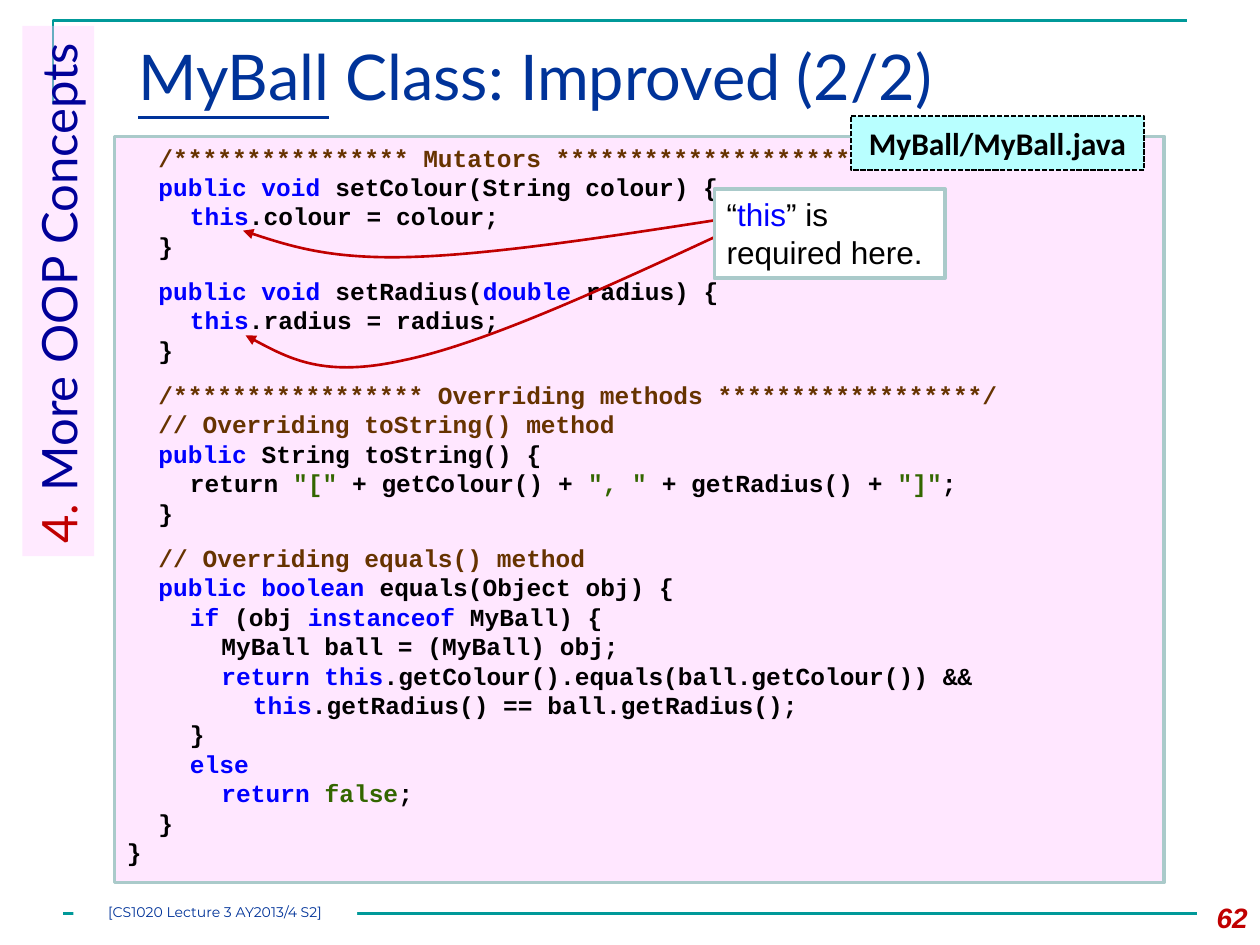
from itertools import chain

from lxml import etree
from pptx import Presentation
from pptx import util as u
from pptx.dml.color import RGBColor
from pptx.enum import dml, shapes, text
from pptx.oxml.ns import qn

WHITE = RGBColor(0xFF, 0xFF, 0xFF)
BLACK = RGBColor(0x00, 0x00, 0x00)
TEAL = RGBColor(0x00, 0x99, 0x99)
NAVY = RGBColor(0x00, 0x33, 0x99)
INDIGO = RGBColor(0x00, 0x00, 0x99)
RED = RGBColor(0xC0, 0x00, 0x00)
PINK = RGBColor(0xFF, 0xCC, 0xFF)
PALE_PINK = RGBColor(0xFF, 0xE7, 0xFF)
CYAN = RGBColor(0xB8, 0xFF, 0xFF)
BORDER = RGBColor(0xAA, 0xCA, 0xCA)
KEYWORD = RGBColor(0x00, 0x00, 0xFF)
COMMENT = RGBColor(0x66, 0x33, 0x00)
LITERAL = RGBColor(0x33, 0x66, 0x00)


def key(s):
    """Return a keyword token."""
    return s, KEYWORD


def note(s):
    """Return a comment token."""
    return s, COMMENT


def lit(s):
    """Return a literal token."""
    return s, LITERAL


CODE_BLOCKS = [
    [
        (1, note("/**************** Mutators ************************/")),
        (1, key("public void "), "setColour(String colour) {"),
        (2, key("this"), ".colour = colour;"),
        (1, "}"),
    ],
    [
        (1, key("public void "), "setRadius(", key("double"), " radius) {"),
        (2, key("this"), ".radius = radius;"),
        (1, "}"),
    ],
    [
        (1, note("/***************** Overriding methods ******************/")),
        (1, note("// Overriding toString() method")),
        (1, key("public "), "String toString() {"),
        (2, "return ", lit('"["'), " + getColour() + ", lit('", "'),
         " + getRadius() + ", lit('"]"'), ";"),
        (1, "}"),
    ],
    [
        (1, note("// Overriding equals() method")),
        (1, key("public boolean "), "equals(Object obj) {"),
        (2, key("if"), " (obj ", key("instanceof"), " MyBall) {"),
        (3, "MyBall ball = (MyBall) obj;"),
        (3, key("return this"), ".getColour().equals(ball.getColour()) &&"),
        (4, key("this"), ".getRadius() == ball.getRadius();"),
        (2, "}"),
        (2, key("else")),
        (3, key("return "), lit("false"), ";"),
        (1, "}"),
        (0, "}"),
    ],
]

ARROWS = [
    [(0.15, 0.61), (-2.16, 0.97), (-4.49, 1.32), (-6.09, 1.37),
     (-7.69, 1.42), (-8.61, 1.14), (-9.5, 0.84)],
    [(0.18, 0.89), (-2.23, 2.01), (-4.65, 3.12), (-6.25, 3.45),
     (-7.85, 3.81), (-8.66, 3.38), (-9.45, 2.95)],
]


def add_text(p, s, font, size, color, bold=False, italic=False, underline=None):
    """Append one formatted run to a paragraph."""
    r = p.add_run()
    r.text = s
    r.font.name, r.font.size = font, u.Pt(size)
    r.font.bold, r.font.italic, r.font.underline = bold, italic, underline
    r.font.color.rgb = color


def add_box(parent, box, fill=None, line=None, width=2,
            align=text.PP_ALIGN.LEFT, anchor=text.MSO_ANCHOR.TOP):
    """Add a rectangle, or a text box when it has no fill."""
    x, y, w, h = map(u.Cm, box)
    if fill is None:
        sp = parent.add_textbox(x, y, w, h)
    else:
        sp = parent.add_shape(shapes.MSO_SHAPE.RECTANGLE, x, y, w, h)
        sp.shadow.inherit = False
        sp.fill.solid()
        sp.fill.fore_color.rgb = fill
        if line is None:
            sp.line.fill.background()
        else:
            sp.line.color.rgb, sp.line.width = line, u.Pt(width)
    tf = sp.text_frame
    tf.word_wrap, tf.vertical_anchor = True, anchor
    tf.paragraphs[0].alignment = align
    return sp, tf.paragraphs[0]


def add_outline(parent, points, color):
    """Add an open, unfilled outline through points in centimetres."""
    points = [(u.Cm(x), u.Cm(y)) for x, y in points]
    builder = parent.build_freeform(*points[0])
    builder.add_line_segments(points[1:], close=False)
    sp = builder.convert_to_shape()
    sp.shadow.inherit = False
    sp.fill.background()
    sp.line.color.rgb, sp.line.width = color, u.Pt(1.5)
    return sp


def add_curved_arrow(parent, points, color):
    """Add an arrow whose points are cubic Bézier points."""
    sp = add_outline(parent, points, color)
    steps = list(sp.element.iter(qn("a:lnTo")))
    for i in range(0, len(steps), 3):
        curve = etree.Element(qn("a:cubicBezTo"))
        steps[i].addprevious(curve)
        for step in steps[i:i + 3]:
            curve.append(step[0])
            step.getparent().remove(step)
    etree.SubElement(sp.line._get_or_add_ln(), qn("a:tailEnd"), type="triangle")


def add_frame(slide, box):
    """Draw the corner rule at the top and the rule at the foot."""
    x, y, w, h = box
    add_outline(slide.shapes, [(x, y + 1.68), (x, y), (x + w, y)], TEAL)
    ends = [u.Cm(v) for v in (x + 0.2, y + h, x + 0.2 + w, y + h)]
    rule = slide.shapes.add_connector(shapes.MSO_CONNECTOR.STRAIGHT, *ends)
    rule.line.color.rgb, rule.line.width = TEAL, u.Pt(1.5)
    etree.SubElement(rule.element.spPr, qn("a:effectLst"))


def add_title(slide, box):
    """Write the title with its class name underlined."""
    _, p = add_box(slide.shapes, box)
    add_text(p, "MyBall", "Lato", 36, NAVY, underline=True)
    add_text(p, " Class: Improved (2/2)", "Lato", 36, NAVY)


def add_footer(slide, box):
    """Write the lecture label and the page number."""
    x, y, w, h = box
    _, p = add_box(slide.shapes, (x + w - 1.7, y, 1.7, h), align=text.PP_ALIGN.RIGHT)
    add_text(p, "62", "Arial", 16, RED, bold=True, italic=True)
    sp, p = add_box(slide.shapes, (x, y + 0.18, 5.72, 0.43), WHITE,
                    align=text.PP_ALIGN.CENTER)
    tf = sp.text_frame
    tf.margin_left = tf.margin_top = tf.margin_right = tf.margin_bottom = 0
    add_text(p, "[CS1020 Lecture 3 AY2013/4 S2]", "Montserrat", 8, NAVY)


def add_section_tab(slide, box):
    """Place the translucent section name, reading upwards."""
    x, y, w, h = box
    sp, p = add_box(slide.shapes, (x + (w - h) / 2, y + (h - w) / 2, h, w), PINK)
    sp.rotation = 270
    sp.text_frame.margin_right = 0
    color = sp.element.spPr.find(qn("a:solidFill"))[0]
    etree.SubElement(color, qn("a:alpha"), val="40000")
    add_text(p, "4.", "Lato", 28, RED)
    add_text(p, " More OOP Concepts", "Lato", 28, INDIGO)


def add_code(slide, box):
    """Write the code listing with tab stops and a gap between blocks."""
    sp, p = add_box(slide.shapes, box, PALE_PINK, BORDER)
    starts = [block[0] for block in CODE_BLOCKS[1:]]
    for i, line in enumerate(chain.from_iterable(CODE_BLOCKS)):
        if i:
            p = sp.text_frame.add_paragraph()
        p.alignment = text.PP_ALIGN.LEFT
        if line in starts:
            p.space_before = u.Pt(9)
        tabs = etree.SubElement(p._p.get_or_add_pPr(), qn("a:tabLst"))
        for stop in range(1, 6):
            etree.SubElement(tabs, qn("a:tab"), pos=str(u.Cm(0.635 * stop)), algn="l")
        level, *tokens = line
        if level:
            tokens.insert(0, "\t" * level)
        for token in tokens:
            s, color = (token, BLACK) if isinstance(token, str) else token
            add_text(p, s, "Courier New", 14, color, bold=True)


def add_file_label(slide, box):
    """Place the dashed label with the file name."""
    sp, p = add_box(slide.shapes, box, CYAN, BLACK, 1,
                    text.PP_ALIGN.CENTER, text.MSO_ANCHOR.MIDDLE)
    sp.line.dash_style = dml.MSO_LINE.SQUARE_DOT
    add_text(p, "MyBall/MyBall.java", "Calibri", 18, BLACK, bold=True)


def add_callout(slide, box):
    """Group the remark with its two curved arrows."""
    group = slide.shapes.add_group_shape().shapes
    for arrow in ARROWS:
        add_curved_arrow(group, [(box[0] + x, box[1] + y) for x, y in arrow], RED)
    _, p = add_box(group, box, WHITE, BORDER)
    for s, color in (("“", BLACK), ("this", KEYWORD), ("” is required here.", BLACK)):
        add_text(p, s, "Arial", 18, color)


def main():
    """Build the slide and save it."""
    prs = Presentation()
    prs.slide_width, prs.slide_height = u.Cm(25.4), u.Cm(19.05)
    slide = prs.slides.add_slide(prs.slide_layouts[6])
    add_frame(slide, (1.07, 0.42, 22.86, 18))
    add_title(slide, (2.54, 0.64, 21.59, 2.18))
    add_footer(slide, (1.48, 18.03, 23.92, 1.02))
    add_section_tab(slide, (0.45, 0.52, 1.45, 10.69))
    add_code(slide, (2.31, 2.75, 21.16, 15.04))
    add_file_label(slide, (17.15, 2.34, 5.92, 1.09))
    add_callout(slide, (14.4, 3.81, 4.65, 1.8))
    prs.save("out.pptx")


if __name__ == "__main__":
    main()
